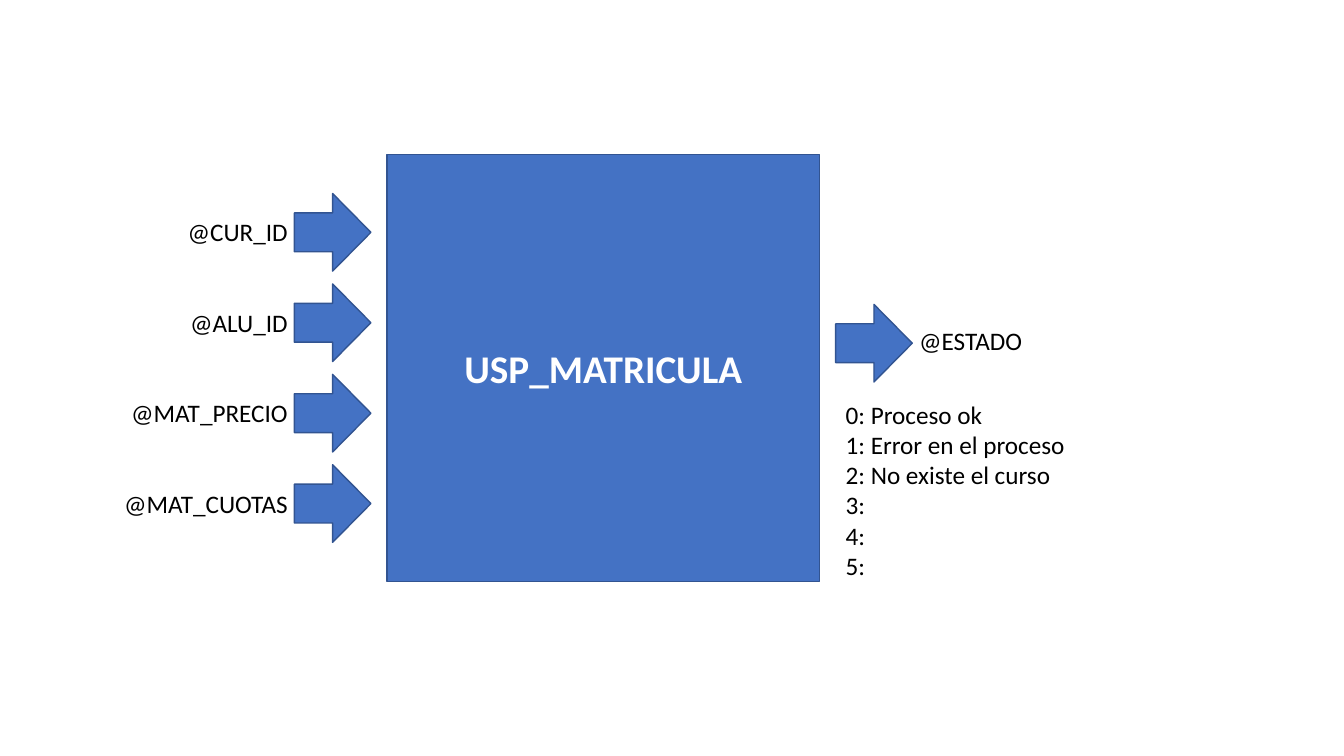
from dataclasses import dataclass

from pptx import Presentation
from pptx.dml.color import RGBColor
from pptx.enum.shapes import MSO_SHAPE as Shape
from pptx.enum.text import MSO_ANCHOR as Anchor, PP_ALIGN as Align
from pptx.util import Inches, Pt


@dataclass(frozen=True)
class Theme:
    font: str = "Calibri"
    fill: RGBColor = RGBColor(0x44, 0x72, 0xC4)
    outline: RGBColor = RGBColor(0x32, 0x54, 0x91)
    ink: RGBColor = RGBColor(0, 0, 0)
    light: RGBColor = RGBColor(0xFF, 0xFF, 0xFF)
    body: Pt = Pt(18)
    heading: Pt = Pt(28)


THEME = Theme()
WIDTH, HEIGHT = Inches(13.333), Inches(7.5)

# Lengths are percentages of the slide's width and height.
ARROW_WIDTH, ARROW_HEIGHT = 5.7, 10.27
LABEL_HEIGHT = 5.33
INPUT_LEFT, INPUT_TOP, INPUT_PITCH = 21.9, 25.6, 11.96
LABEL_LEFT, LABEL_WIDTH = 3.75, 18.4
OUTPUT_LEFT, OUTPUT_TOP = 62.18, 40.27

INPUTS = ["@CUR_ID", "@ALU_ID", "@MAT_PRECIO", "@MAT_CUOTAS"]
STATES = [
    "0: Proceso ok",
    "1: Error en el proceso",
    "2: No existe el curso",
    "3:",
    "4:",
    "5:",
]


def place(left, top, width, height):
    """Turn percentages of the slide into lengths."""
    return [
        int(share * side / 100)
        for share, side in zip((left, top, width, height), (WIDTH, HEIGHT) * 2)
    ]


def write(frame, lines, align=Align.LEFT, **changes):
    font_format = {"name": THEME.font, "size": THEME.body, "bold": False} | changes
    color = font_format.pop("color", THEME.ink)
    frame.word_wrap = True
    for index, line in enumerate(lines):
        para = frame.add_paragraph() if index else frame.paragraphs[0]
        para.alignment = align
        span = para.add_run()
        span.text = line
        span.font.color.rgb = color
        for name, value in font_format.items():
            setattr(span.font, name, value)


def add_solid(page, kind, *area):
    solid = page.shapes.add_shape(kind, *place(*area))
    solid.shadow.inherit = False
    solid.fill.solid()
    solid.fill.fore_color.rgb = THEME.fill
    solid.line.color.rgb = THEME.outline
    solid.line.width = Pt(1)
    return solid


def add_arrow(page, left, top):
    add_solid(page, Shape.RIGHT_ARROW, left, top, ARROW_WIDTH, ARROW_HEIGHT)


def add_text(page, lines, *area, align=Align.LEFT):
    box = page.shapes.add_textbox(*place(*area))
    write(box.text_frame, lines, align)


def add_procedure(page, name):
    block = add_solid(page, Shape.RECTANGLE, 28.8, 20.4, 32.18, 56.53)
    block.text_frame.vertical_anchor = Anchor.MIDDLE
    write(block.text_frame, [name], Align.CENTER,
          size=THEME.heading, bold=True, color=THEME.light)


def add_inputs(page, names):
    for index, name in enumerate(names):
        top = INPUT_TOP + index * INPUT_PITCH
        add_arrow(page, INPUT_LEFT, top)
        add_text(page, [name], LABEL_LEFT, top + 2.4, LABEL_WIDTH, LABEL_HEIGHT,
                 align=Align.RIGHT)


def add_output(page, name, states):
    add_arrow(page, OUTPUT_LEFT, OUTPUT_TOP)
    add_text(page, [name], 67.65, OUTPUT_TOP + 2.13, 12.15, LABEL_HEIGHT)
    add_text(page, states, OUTPUT_LEFT, 52.13, 30.23, 25.6)


def main():
    deck = Presentation()
    deck.slide_width, deck.slide_height = WIDTH, HEIGHT
    page = deck.slides.add_slide(deck.slide_layouts.get_by_name("Blank"))
    add_procedure(page, "USP_MATRICULA")
    add_inputs(page, INPUTS)
    add_output(page, "@ESTADO", STATES)
    deck.save("out.pptx")


if __name__ == "__main__":
    main()
